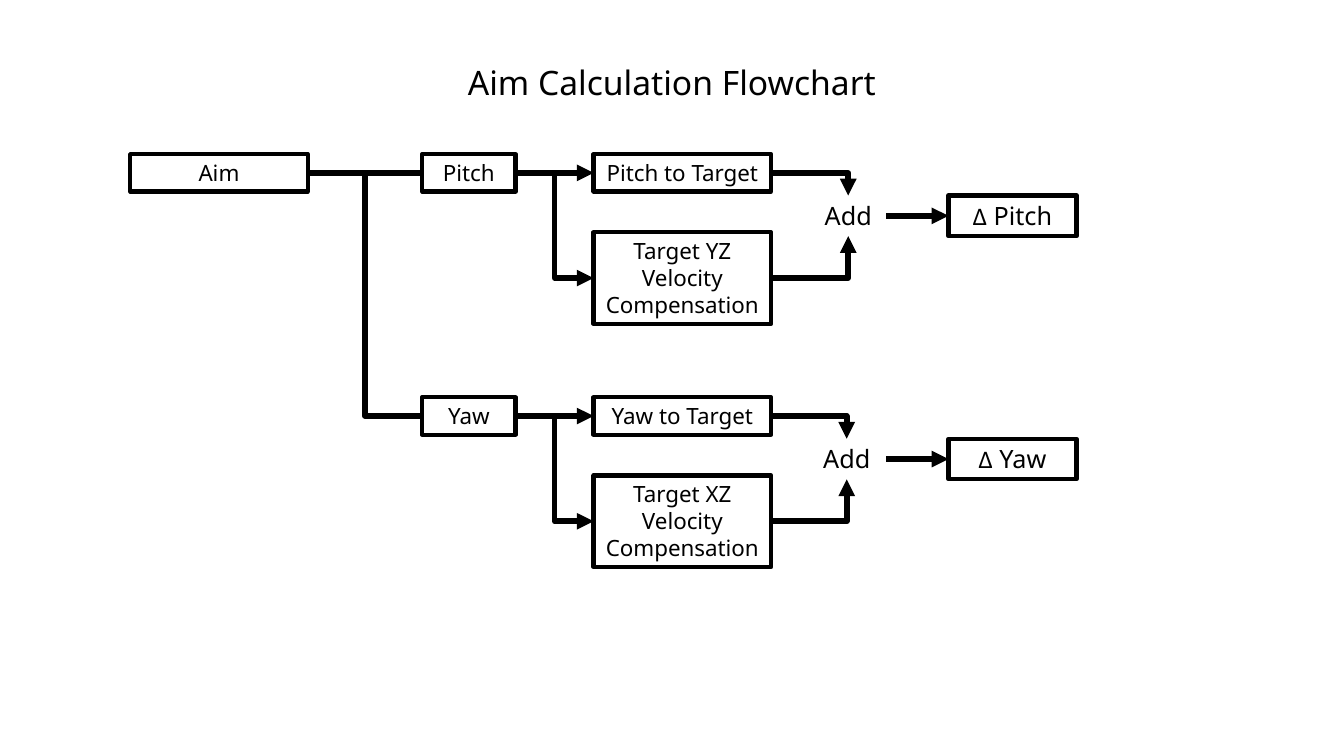
import pptx
import pptx.dml.color
import pptx.enum.shapes
import pptx.enum.text
import pptx.oxml
import pptx.oxml.ns
import pptx.util

Pt = pptx.util.Pt
Connector = pptx.enum.shapes.MSO_CONNECTOR

BLACK = "000000"
FONT = "Noto Sans"
TOP, LEFT, BOTTOM, RIGHT = range(4)  # connection sites of a rectangle
BRANCH_TOP = 110.16
BRANCH_STEP = 173.7
STEP_HEIGHT = 26.64
RESULT_HEIGHT = 29.08


def colour(hex_code):
    """Turn a hex string into a colour."""
    return pptx.dml.color.RGBColor.from_string(hex_code)


def add_label(page, place, spans, size):
    """Add centred text; spans are (text, font) pairs."""
    box = page.shapes.add_textbox(*[Pt(length) for length in place])
    frame = box.text_frame
    frame.word_wrap = True
    frame.auto_size = pptx.enum.text.MSO_AUTO_SIZE.SHAPE_TO_FIT_TEXT
    para = frame.paragraphs[0]
    para.alignment = pptx.enum.text.PP_ALIGN.CENTER
    for text, font in spans:
        span = para.add_run()
        span.text = text
        span.font.name = font
        span.font.size = Pt(size)
        span.font.color.rgb = colour(BLACK)
    return box


def add_step(page, place, spans, size=16):
    """Add a label framed by a black outline."""
    box = add_label(page, place, spans, size)
    box.line.color.rgb = colour(BLACK)
    box.line.width = Pt(3)
    return box


def add_link(page, start, start_site, end, end_site,
             kind=Connector.STRAIGHT, arrow=True):
    """Glue a connector between two boxes."""
    link = page.shapes.add_connector(kind, 0, 0, 0, 0)
    link.begin_connect(start, start_site)
    link.end_connect(end, end_site)
    link.line.color.rgb = colour(BLACK)
    link.line.width = Pt(4)
    properties = link._element.spPr
    if arrow:
        tail = pptx.oxml.parse_xml(
            f'<a:tailEnd {pptx.oxml.ns.nsdecls("a")} type="triangle"/>')
        properties.find(pptx.oxml.ns.qn("a:ln")).append(tail)
    properties.append(pptx.oxml.parse_xml(
        f'<a:effectLst {pptx.oxml.ns.nsdecls("a")}/>'))
    return link


def add_corner(page, start, end, end_site):
    """Add an arrow with one bend that leaves a box on its right."""
    link = add_link(page, start, RIGHT, end, end_site, Connector.ELBOW)
    geometry = link._element.spPr.find(pptx.oxml.ns.qn("a:prstGeom"))
    geometry.set("prst", "bentConnector2")


def add_branch(page, top, angle, plane, add_left):
    """Add the steps that work out one angle; return the first of them."""
    source = add_step(page, (301.5, top, 66.8, STEP_HEIGHT), [(angle, FONT)])
    target = add_step(page, (424, top, 126.8, STEP_HEIGHT),
                      [(f"{angle} to Target", FONT)])
    compensation = add_step(page, (424, top + 55.8, 126.8, 65.4),
                            [(f"Target {plane} Velocity Compensation", FONT)])
    addition = add_label(page, (add_left, top + 29.5, 632.9 - add_left, RESULT_HEIGHT),
                         [("Add", FONT)], 18)
    result = add_step(page, (677.5, top + 29.5, 91.5, RESULT_HEIGHT),
                      [("Δ", "Calibri"), (f" {angle}", FONT)], 18)
    add_link(page, source, RIGHT, target, LEFT)
    add_link(page, source, RIGHT, compensation, LEFT, Connector.ELBOW)
    add_corner(page, target, addition, TOP)
    add_corner(page, compensation, addition, BOTTOM)
    add_link(page, addition, RIGHT, result, LEFT)
    return source


def main():
    """Build the flowchart and save it."""
    deck = pptx.Presentation()
    deck.slide_width, deck.slide_height = Pt(960), Pt(540)
    page = deck.slides.add_slide(deck.slide_layouts[6])

    add_label(page, (299.5, 41, 360.7, 36.3), [("Aim Calculation Flowchart", FONT)], 24)
    aim = add_step(page, (93, BRANCH_TOP, 126.8, STEP_HEIGHT), [("Aim", FONT)])
    pitch = add_branch(page, BRANCH_TOP, "Pitch", "YZ", 578.9)
    yaw = add_branch(page, BRANCH_TOP + BRANCH_STEP, "Yaw", "XZ", 576.7)
    add_link(page, aim, RIGHT, pitch, LEFT, arrow=False)
    add_link(page, aim, RIGHT, yaw, LEFT, Connector.ELBOW, arrow=False)

    deck.save("out.pptx")


main()
